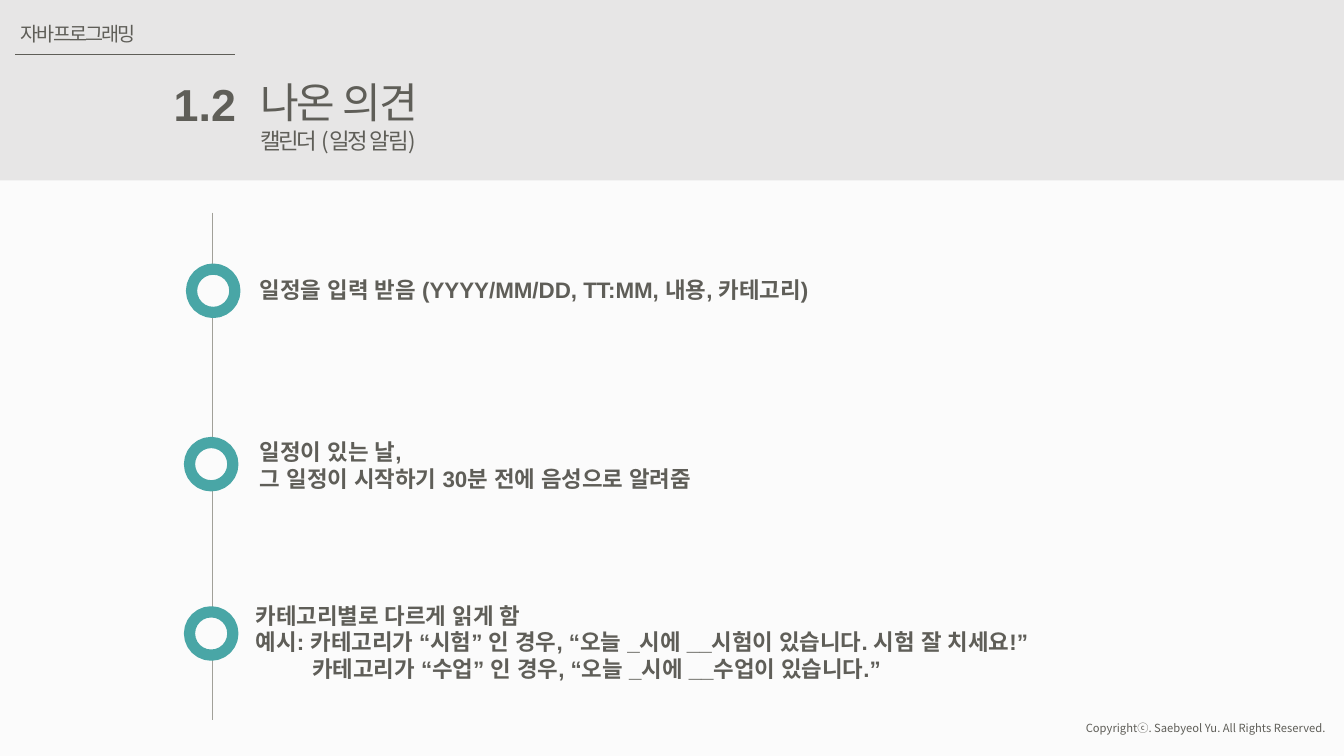
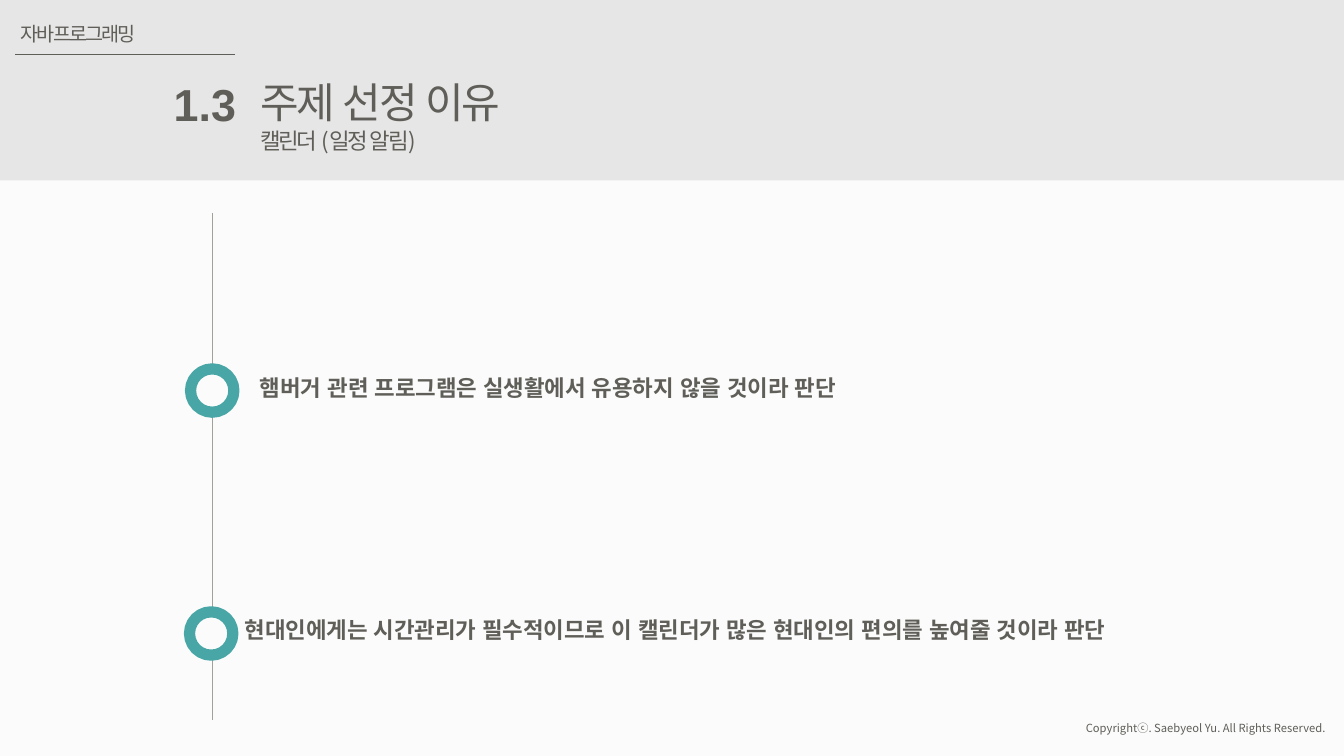
"""Build two timeline slides of a Java programming project deck."""
from dataclasses import dataclass, field

from pptx import Presentation
from pptx import util as u
from pptx.dml.color import RGBColor
from pptx.enum import shapes, text
from pptx.oxml.ns import qn

COLORS = {
    "page": "FBFBFB",
    "band": "E7E6E6",
    "ink": "5F5E58",
    "axis": "A1A099",
    "ring": "49A6A6",
}
SANS, NOTO = "Arial", "Noto Sans CJK KR"
WIDTH, HEIGHT = u.Inches(13.33), u.Inches(7.5)
COLUMNS, ROWS = 13.33, 7.5
AXIS, RING = 2.11, 0.43
TEXT_COLUMN = 2.48
COURSE = "자바프로그래밍"
SUBTITLE = "캘린더 (일정 알림)"
COPYRIGHT = "Copyrightⓒ. Saebyeol Yu. All Rights Reserved."


@dataclass(frozen=True)
class Box:
    """A frame in grid columns and rows."""

    left: float
    top: float
    width: float
    height: float


@dataclass(frozen=True)
class Line:
    """One paragraph with its style."""

    words: str
    size: float = 16
    font: str = SANS
    bold: bool = False
    tracking: float = 0
    align: text.PP_ALIGN = text.PP_ALIGN.LEFT
    indent: float = 0


@dataclass(frozen=True)
class Step:
    """A ring on the timeline and the statement beside it."""

    ring_left: float
    ring_top: float
    frame: Box
    lines: list[str]
    wrap: bool = False
    indents: dict[int, float] = field(default_factory=dict)


@dataclass(frozen=True)
class Topic:
    """The content of one slide."""

    number: str
    heading: str
    heading_width: float
    steps: list[Step]


TOPICS = [
    Topic("1.2", "나온 의견", 1.92, [
        Step(1.9, 2.67, Box(TEXT_COLUMN, 2.69, 5.91, 0.37),
             ["일정을 입력 받음 (YYYY/MM/DD, TT:MM, 내용, 카테고리)"]),
        Step(1.88, 4.39, Box(TEXT_COLUMN, 4.3, 4.87, 0.64),
             ["일정이 있는 날, ", "그 일정이 시작하기 30분 전에 음성으로 알려줌"]),
        Step(1.88, 6.07, Box(2.44, 5.92, 8.4, 0.91),
             ["카테고리별로 다르게 읽게 함",
              "예시: 카테고리가 “시험” 인 경우, “오늘 _시에 __시험이 있습니다. 시험 잘 치세요!”",
              "카테고리가 “수업” 인 경우, “오늘 _시에 __수업이 있습니다.”"],
             wrap=True, indents={2: 0.56}),
    ]),
    Topic("1.3", "주제 선정 이유", 2.84, [
        Step(1.89, 3.66, Box(TEXT_COLUMN, 3.66, 6.39, 0.37),
             ["햄버거 관련 프로그램은 실생활에서 유용하지 않을 것이라 판단"]),
        Step(1.88, 6.07, Box(2.33, 6.06, 9.67, 0.37),
             ["현대인에게는 시간관리가 필수적이므로 이 캘린더가 많은 현대인의 편의를 높여줄 것이라 판단"]),
    ]),
]


def across(columns: float) -> int:
    """Turn grid columns into a length."""
    return round(WIDTH * columns / COLUMNS)


def down(rows: float) -> int:
    """Turn grid rows into a length."""
    return round(HEIGHT * rows / ROWS)


def extent(box: Box) -> tuple[int, int, int, int]:
    """Return left, top, width and height of a frame."""
    return across(box.left), down(box.top), across(box.width), down(box.height)


def color(name: str) -> RGBColor:
    """Look up a named colour."""
    return RGBColor.from_string(COLORS[name])


def apply(target, formats: dict) -> None:
    """Set every attribute in a dict of format values."""
    for name, value in formats.items():
        setattr(target, name, value)


def write(frame, lines: list[Line], wrap: bool = False) -> None:
    """Fill a text frame with styled paragraphs."""
    apply(frame, {
        "word_wrap": wrap,
        "auto_size": text.MSO_AUTO_SIZE.NONE,
        "vertical_anchor": text.MSO_ANCHOR.TOP,
    })
    for index, line in enumerate(lines):
        paragraph = frame.add_paragraph() if index else frame.paragraphs[0]
        paragraph.alignment = line.align
        if line.indent:
            paragraph._p.get_or_add_pPr().set("marL", str(across(line.indent)))
        run = paragraph.add_run()
        run.text = line.words
        apply(run.font, {"size": u.Pt(line.size), "bold": line.bold, "name": line.font})
        run.font.color.rgb = color("ink")
        properties = run._r.get_or_add_rPr()
        east_asian = properties.makeelement(qn("a:ea"), {"typeface": SANS})
        properties.find(qn("a:latin")).addnext(east_asian)
        if line.tracking:
            properties.set("spc", str(round(line.tracking * 100)))


def add_text(slide, box: Box, lines: list[Line], wrap: bool = False) -> None:
    """Place a text box."""
    write(slide.shapes.add_textbox(*extent(box)).text_frame, lines, wrap)


def add_rule(slide, start: tuple[float, float], end: tuple[float, float], ink: str) -> None:
    """Draw a thin straight line."""
    rule = slide.shapes.add_connector(
        shapes.MSO_CONNECTOR.STRAIGHT,
        across(start[0]), down(start[1]), across(end[0]), down(end[1]))
    rule.line.color.rgb = color(ink)
    rule.line.width = u.Pt(0.5)
    effects = rule._element.spPr
    effects.append(effects.makeelement(qn("a:effectLst"), {}))


def add_form(slide, kind: shapes.MSO_SHAPE, box: Box, fill: str, outline: str = ""):
    """Draw a filled shape, outlined if a colour is named."""
    form = slide.shapes.add_shape(kind, *extent(box))
    form.shadow.inherit = False
    form.fill.solid()
    form.fill.fore_color.rgb = color(fill)
    if outline:
        form.line.color.rgb = color(outline)
        form.line.width = u.Pt(8)
    else:
        form.line.fill.background()
    return form


def add_header(slide, topic: Topic) -> None:
    """Draw the band, course name, number, title and copyright line."""
    title = slide.shapes.title
    band = add_form(slide, shapes.MSO_SHAPE.RECTANGLE, Box(0, 0, COLUMNS, 1.79), "band")
    title._element.addprevious(band._element)
    heading_box = Box(TEXT_COLUMN, 0.71, topic.heading_width, 0.88)
    apply(title, dict(zip(("left", "top", "width", "height"), extent(heading_box))))
    write(title.text_frame, [
        Line(topic.heading, 30, NOTO, tracking=-1.5),
        Line(SUBTITLE, 16, NOTO, tracking=-1.5),
    ])
    add_rule(slide, (0.15, 0.54), (2.33, 0.54), "ink")
    add_text(slide, Box(0.11, 0.17, 1.43, 0.34), [Line(COURSE, 14, tracking=-1.5)])
    right = text.PP_ALIGN.RIGHT
    add_text(slide, Box(1.62, 0.71, 0.82, 0.64),
             [Line(topic.number, 32, bold=True, align=right)])
    add_text(slide, Box(10.62, 7.11, 2.63, 0.24), [Line(COPYRIGHT, 8, NOTO, align=right)])


def add_timeline(slide, steps: list[Step]) -> None:
    """Draw the axis with its rings and statements."""
    add_rule(slide, (AXIS, 2.11), (AXIS, 7.14), "axis")
    for step in steps:
        ring = Box(step.ring_left, step.ring_top, RING, RING)
        add_form(slide, shapes.MSO_SHAPE.OVAL, ring, "page", "ring")
        lines = [Line(words, bold=True, indent=step.indents.get(index, 0))
                 for index, words in enumerate(step.lines)]
        add_text(slide, step.frame, lines, step.wrap)


def main() -> None:
    """Build and save the deck."""
    deck = Presentation()
    apply(deck, {"slide_width": WIDTH, "slide_height": HEIGHT})
    backdrop = deck.slide_master.background.fill
    backdrop.solid()
    backdrop.fore_color.rgb = color("page")
    for topic in TOPICS:
        slide = deck.slides.add_slide(deck.slide_layouts[5])
        add_header(slide, topic)
        add_timeline(slide, topic.steps)
    deck.save("out.pptx")


main()
